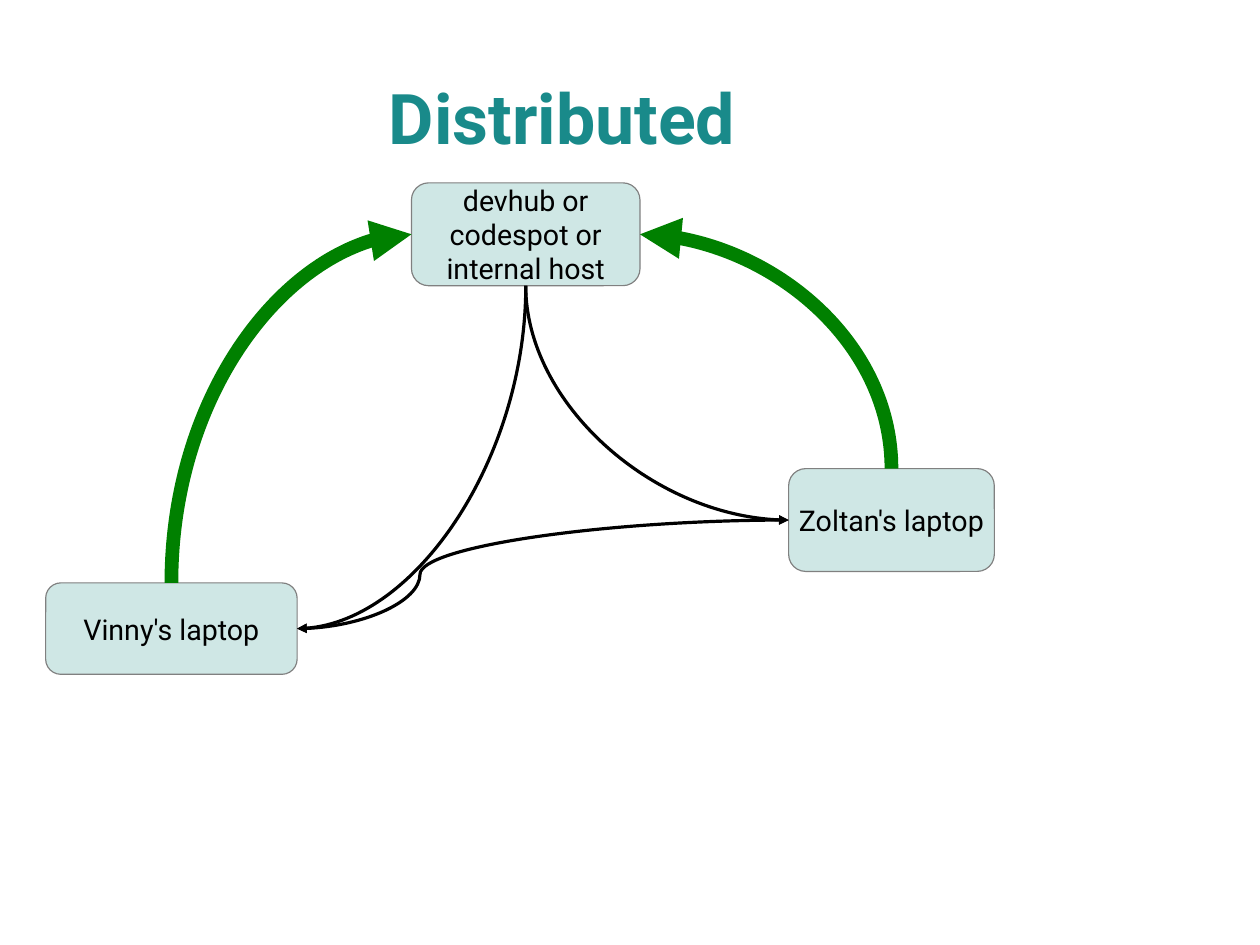
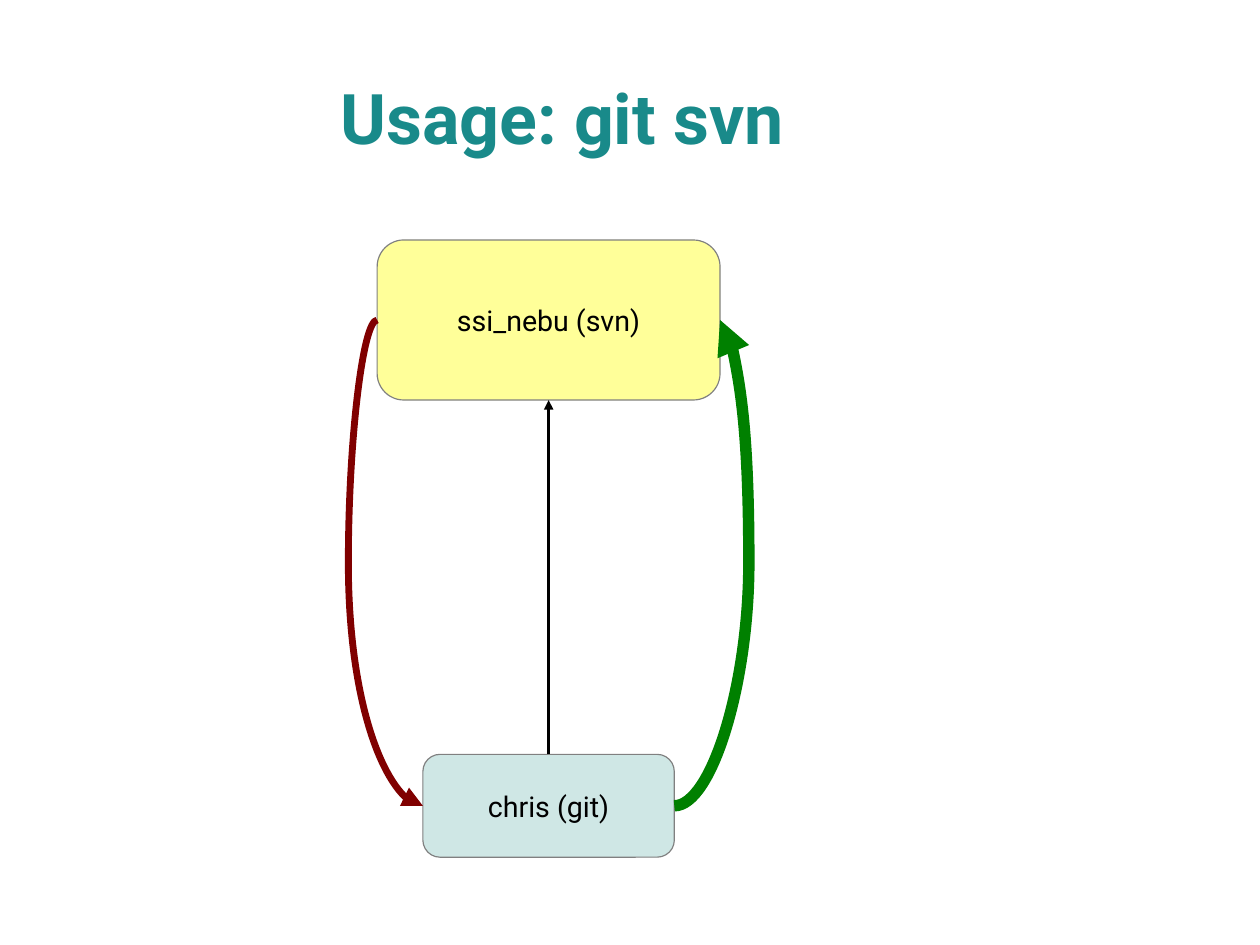
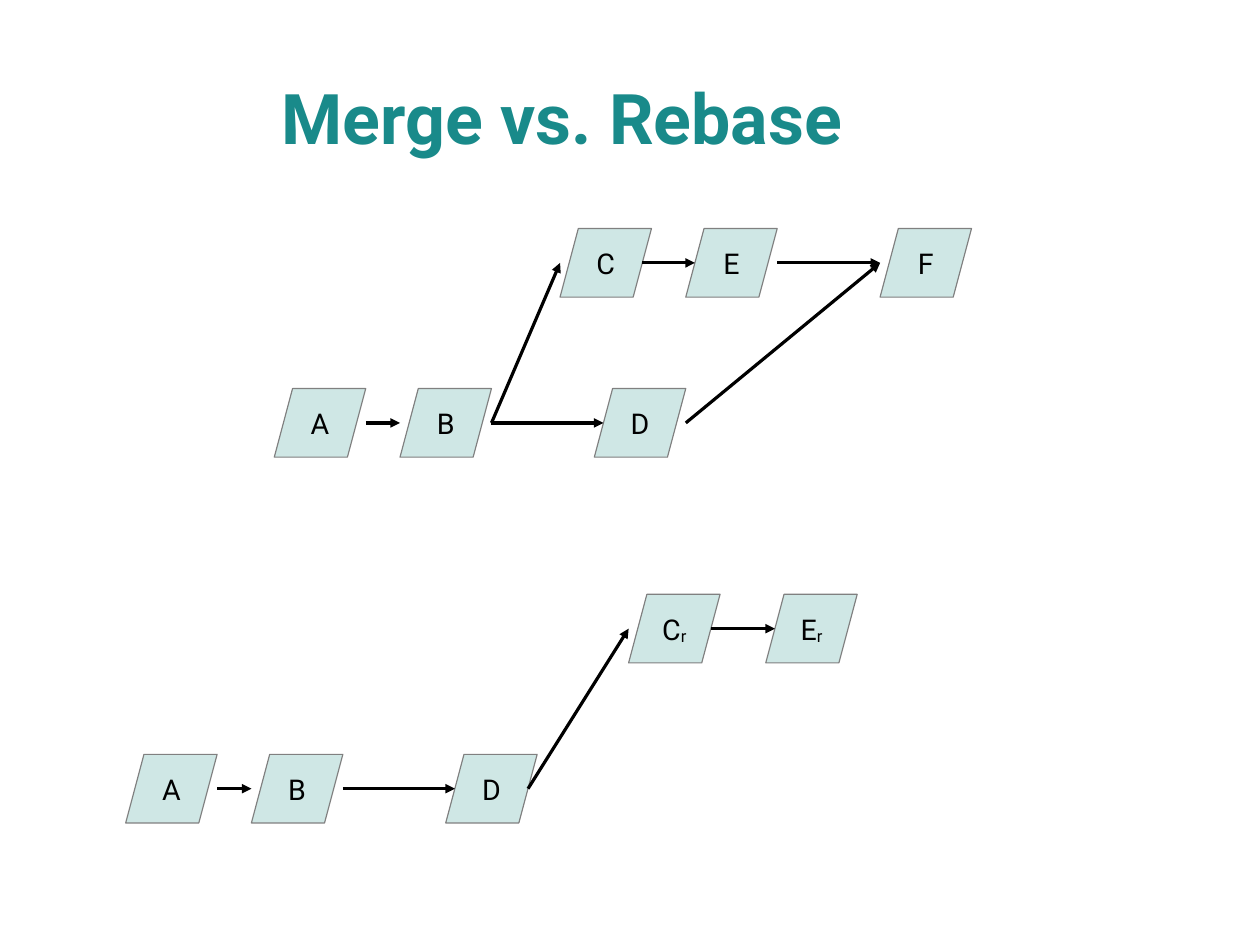
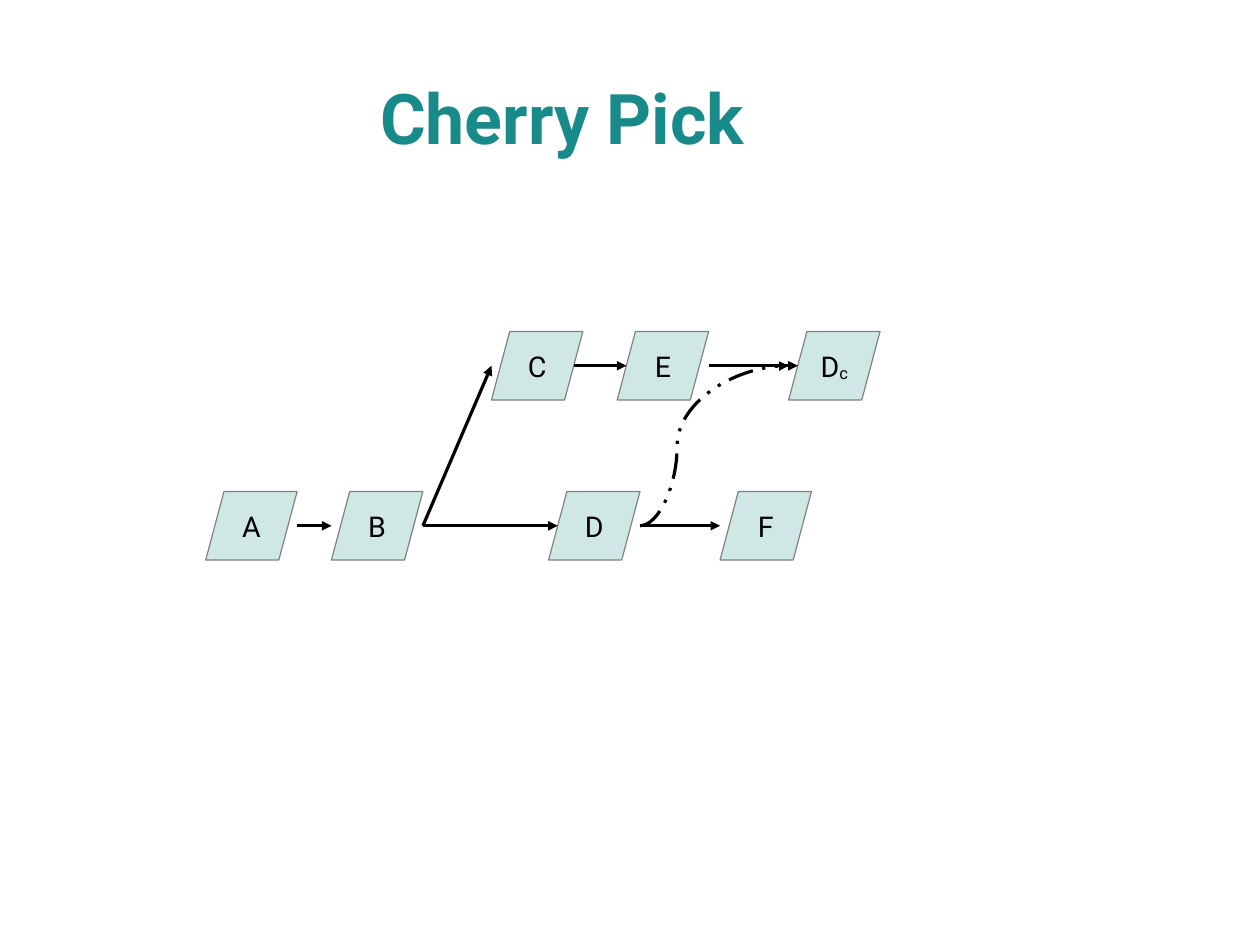
from dataclasses import dataclass

from lxml.etree import SubElement
from pptx import Presentation
from pptx.dml.color import RGBColor as Rgb
from pptx.enum.dml import MSO_LINE as Dash
from pptx.enum.shapes import MSO_CONNECTOR as Route, MSO_SHAPE as Preset
from pptx.enum.text import MSO_ANCHOR as Anchor, PP_ALIGN as Align
from pptx.oxml.ns import qn
from pptx.util import Cm, Pt


@dataclass(frozen=True)
class Theme:
    font: str = "Roboto"
    title_size: int = 44
    label_size: int = 18
    title: str = "198A8A"
    mint: str = "CFE7E5"
    yellow: str = "FFFF99"
    outline: str = "808080"
    ink: str = "000000"
    push: str = "008000"
    pull: str = "800000"


THEME = Theme()
GRID = Cm(2.54)
TITLE_BOX = (0.39, 0.33, 9.06, 1.38)
COMMIT_SIZE = (0.8, 0.6)
BRANCH_PITCH = 1.4
SLANT = 0.08
TOP, LEFT, BOTTOM, RIGHT = range(4)


def grid(*steps):
    return [round(step * GRID) for step in steps]


def apply(target, values):
    for name, value in values.items():
        setattr(target, name, value)


def write_line(paragraph, text, size, color, bold=False, subscript=""):
    paragraph.alignment = Align.CENTER
    for part in filter(None, (text, subscript)):
        run = paragraph.add_run()
        run.text = part
        apply(run.font, {"name": THEME.font, "size": Pt(size), "bold": bold})
        run.font.color.rgb = Rgb.from_string(color)
    if subscript:
        run._r.get_or_add_rPr().set("baseline", "-8000")


def titled_slide(deck, title):
    slide = deck.slides.add_slide(deck.slide_layouts[6])
    frame = slide.shapes.add_textbox(*grid(*TITLE_BOX)).text_frame
    apply(frame, {
        "word_wrap": True, "vertical_anchor": Anchor.MIDDLE,
        "margin_left": 0, "margin_right": 0, "margin_top": 0, "margin_bottom": 0,
    })
    write_line(frame.paragraphs[0], title, THEME.title_size, THEME.title, bold=True)
    return slide


def node(slide, preset, box, lines, fill=THEME.mint, subscript=""):
    body = slide.shapes.add_shape(preset, *grid(*box))
    body.shadow.inherit = False
    body.fill.solid()
    body.fill.fore_color.rgb = Rgb.from_string(fill)
    body.line.color.rgb = Rgb.from_string(THEME.outline)
    body.line.width = Pt(0)
    frame = body.text_frame
    apply(frame, {"word_wrap": False, "vertical_anchor": Anchor.MIDDLE})
    for index, text in enumerate(lines):
        paragraph = frame.add_paragraph() if index else frame.paragraphs[0]
        write_line(paragraph, text, THEME.label_size, THEME.ink, subscript=subscript)
    return body


def arrow(slide, route, ends=(0, 0, 0, 0), color=THEME.ink, width=0, dash=None,
          both_ends=False):
    link = slide.shapes.add_connector(route, *grid(*ends))
    link.line.color.rgb = Rgb.from_string(color)
    link.line.width = Pt(width)
    if dash:
        link.line.dash_style = dash
    outline = link.get_or_add_ln()
    for tag in ("a:headEnd", "a:tailEnd")[0 if both_ends else 1:]:
        SubElement(outline, qn(tag)).set("type", "triangle")
    SubElement(link._element.spPr, qn("a:effectLst"))
    return link


def attach(link, start, start_side, end, end_side):
    link.begin_connect(start, start_side)
    link.end_connect(end, end_side)
    return link


def set_bend(link, bend):
    values = link._element.spPr.find(qn("a:prstGeom")).get_or_add_avLst()
    guide = SubElement(values, qn("a:gd"))
    guide.set("name", "adj1")
    guide.set("fmla", f"val {round(bend * 100000)}")


def make_quarter_curve(link):
    dx, dy = link.end_x - link.begin_x, link.end_y - link.begin_y
    center_x = (link.begin_x + link.end_x) // 2
    center_y = (link.begin_y + link.end_y) // 2
    apply(link, {
        "left": center_x - abs(dy) // 2, "top": center_y - abs(dx) // 2,
        "width": abs(dy), "height": abs(dx),
    })
    properties = link._element.spPr
    properties.find(qn("a:prstGeom")).set("prst", "curvedConnector2")
    frame = properties.find(qn("a:xfrm"))
    turn = {"rot": "5400000", "flipH": str(int(dy < 0)), "flipV": str(int(dx > 0))}
    for name, value in turn.items():
        frame.set(name, value)


def distributed_diagram(slide, left, top):
    def machine(x, y, width, height, *lines):
        return node(slide, Preset.ROUNDED_RECTANGLE,
                    (left + x, top + y, width, height), lines)

    host = machine(3.2, 0, 2, 0.9, "devhub or", "codespot or", "internal host")
    zoltan = machine(6.5, 2.5, 1.8, 0.9, "Zoltan's laptop")
    vinny = machine(0, 3.5, 2.2, 0.8, "Vinny's laptop")

    exchange = arrow(slide, Route.CURVE, both_ends=True)
    set_bend(attach(exchange, vinny, RIGHT, zoltan, LEFT), 0.25)
    push = {"color": THEME.push, "width": 8.65}
    for start, start_side, end, end_side, style in (
        (vinny, TOP, host, LEFT, push),
        (zoltan, TOP, host, RIGHT, push),
        (host, BOTTOM, vinny, RIGHT, {}),
        (host, BOTTOM, zoltan, LEFT, {}),
    ):
        link = arrow(slide, Route.CURVE, **style)
        make_quarter_curve(attach(link, start, start_side, end, end_side))


def svn_diagram(slide, left, top):
    server = node(slide, Preset.ROUNDED_RECTANGLE, (left, top, 3, 1.4),
                  ["ssi_nebu (svn)"], THEME.yellow)
    clone = node(slide, Preset.ROUNDED_RECTANGLE, (left + 0.4, top + 4.5, 2.2, 0.9),
                 ["chris (git)"])
    pull = arrow(slide, Route.CURVE, color=THEME.pull, width=4.31)
    set_bend(attach(pull, server, LEFT, clone, LEFT), -0.63)
    attach(arrow(slide, Route.STRAIGHT), clone, TOP, server, BOTTOM)
    push = arrow(slide, Route.CURVE, color=THEME.push, width=7.2)
    set_bend(attach(push, clone, RIGHT, server, RIGHT), 1.63)


def commit_graph(slide, left, top, commits, links, picked=None):
    width, height = COMMIT_SIZE
    places = {}
    for name, (x, branch) in commits.items():
        places[name] = (left + x, top + branch * BRANCH_PITCH)
        node(slide, Preset.FLOWCHART_DATA, (*places[name], width, height),
             [name[0]], subscript=name[1:])

    def ends(start, end, start_inset=0, end_inset=0):
        (start_x, start_y), (end_x, end_y) = places[start], places[end]
        return (start_x + width - start_inset, start_y + height / 2,
                end_x + end_inset, end_y + height / 2)

    for link in links:
        arrow(slide, Route.STRAIGHT, ends(*link))
    if picked:
        pick = arrow(slide, Route.CURVE, ends(*picked), dash=Dash.DASH_DOT_DOT)
        set_bend(pick, 0.25)


def main():
    deck = Presentation()
    apply(deck, {"slide_width": Cm(28), "slide_height": Cm(21)})

    distributed_diagram(titled_slide(deck, "Distributed"), 0.4, 1.6)
    svn_diagram(titled_slide(deck, "Usage: git svn"), 3.3, 2.1)

    trunk = {"A": (0, 1), "B": (1.1, 1)}
    fork = {"C": (2.5, 0), "E": (3.6, 0)}
    trunk_links = [("A", "B"), ("B", "D", 0, SLANT)]
    fork_links = [("B", "C"), ("C", "E", SLANT, SLANT)]

    merge = titled_slide(deck, "Merge vs. Rebase")
    commit_graph(
        merge, 2.4, 2,
        {**trunk, "D": (2.8, 1), **fork, "F": (5.3, 0)},
        [*trunk_links, *fork_links, ("D", "F"), ("E", "F")],
    )
    commit_graph(
        merge, 1.1, 5.2,
        {**trunk, "D": (2.8, 1), "Cr": (4.4, 0), "Er": (5.6, 0)},
        [*trunk_links, ("D", "Cr", SLANT), ("Cr", "Er", SLANT, SLANT)],
    )
    commit_graph(
        titled_slide(deck, "Cherry Pick"), 1.8, 2.9,
        {**trunk, "D": (3, 1), "F": (4.5, 1), **fork, "Dc": (5.1, 0)},
        [*trunk_links, *fork_links, ("D", "F"), ("E", "Dc", 0, SLANT)],
        picked=("D", "Dc"),
    )
    deck.save("out.pptx")


if __name__ == "__main__":
    main()
